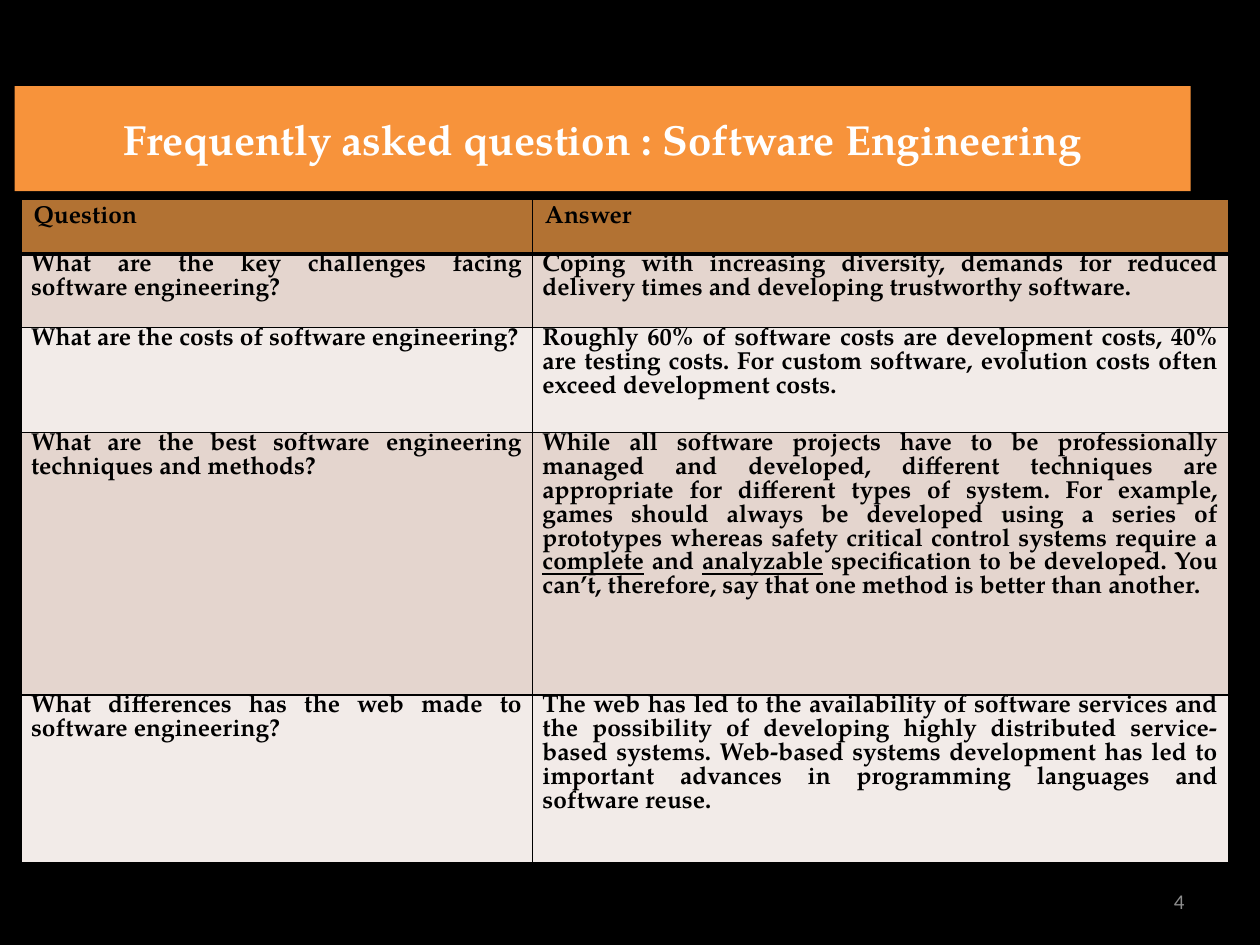
from lxml.etree import SubElement
from pptx import Presentation
from pptx.dml.color import RGBColor
from pptx.enum.shapes import MSO_SHAPE
from pptx.enum.text import MSO_ANCHOR, PP_ALIGN
from pptx.oxml.ns import qn
from pptx.util import Inches, Pt

BLACK = RGBColor(0x00, 0x00, 0x00)
WHITE = RGBColor(0xFF, 0xFF, 0xFF)
ORANGE = RGBColor(0xF7, 0x93, 0x3B)
BROWN = RGBColor(0xB2, 0x72, 0x33)
SAND = RGBColor(0xE4, 0xD5, 0xCE)
PALE = RGBColor(0xF2, 0xEB, 0xE8)
GREY = RGBColor(0x8C, 0x8C, 0x8C)
SERIF = "TeX Gyre Pagella"

GRID_COLUMNS, GRID_ROWS = 120, 90
QUESTION_COLUMNS, ANSWER_COLUMNS = 48.7, 66.3
ROW_SPANS = [5.2, 7, 10, 25, 16]

FAQ = [
    ("Question", ["Answer"]),
    ("What are the key challenges facing software engineering?",
     ["Coping with increasing diversity, demands for reduced delivery times "
      "and developing trustworthy software."]),
    ("What are the costs of software engineering?",
     ["Roughly 60% of software costs are development costs, 40% are testing costs. "
      "For custom software, evolution costs often exceed development costs."]),
    ("What are the best software engineering techniques and methods?",
     ["While all software projects have to be professionally managed and developed, "
      "different techniques are appropriate for different types of system. For example, "
      "games should always be developed using a series of prototypes whereas safety "
      "critical control systems require a ",
      "complete", " and ", "analyzable",
      " specification to be developed. You can’t, therefore, say that one method "
      "is better than another."]),
    ("What differences has the web made to software engineering?",
     ["The web has led to the availability of software services and the possibility of "
      "developing highly distributed service-based systems. Web-based systems development "
      "has led to important advances in programming languages and software reuse."]),
]


def style(paragraph, face, size, color, bold, align):
    paragraph.alignment = align
    paragraph.font.name = face
    paragraph.font.size = Pt(size)
    paragraph.font.color.rgb = color
    paragraph.font.bold = bold


def add_borders(cell, bottom_width):
    properties = cell._tc.get_or_add_tcPr()
    for position, (side, width) in enumerate(
            [("lnL", 1), ("lnR", 1), ("lnT", 1), ("lnB", bottom_width)]):
        line = SubElement(properties, qn(f"a:{side}"), w=str(Pt(width)))
        solid = SubElement(line, qn("a:solidFill"))
        SubElement(solid, qn("a:srgbClr"), val=str(BLACK))
        properties.insert(position, line)


deck = Presentation()
deck.slide_width, deck.slide_height = Inches(10), Inches(7.5)
column = deck.slide_width / GRID_COLUMNS
row = deck.slide_height / GRID_ROWS

slide = deck.slides.add_slide(deck.slide_layouts[6])
slide.background.fill.solid()
slide.background.fill.fore_color.rgb = BLACK

banner = slide.shapes.add_shape(
    MSO_SHAPE.RECTANGLE, int(1.4 * column), int(8.2 * row), int(112 * column), int(10 * row))
banner.shadow.inherit = False
banner.fill.solid()
banner.fill.fore_color.rgb = ORANGE
banner.line.fill.background()
banner.text_frame.word_wrap = True
banner.text_frame.vertical_anchor = MSO_ANCHOR.MIDDLE
heading = banner.text_frame.paragraphs[0]
heading.text = "Frequently asked question : Software Engineering"
style(heading, SERIF, 24, WHITE, True, PP_ALIGN.CENTER)

page_box = slide.shapes.add_textbox(
    int(86 * column), int(83.4 * row), int(28 * column), int(4.8 * row))
page_box.text_frame.word_wrap = True
page_box.text_frame.vertical_anchor = MSO_ANCHOR.MIDDLE
page_number = page_box.text_frame.paragraphs[0]
page_number.text = "4"
style(page_number, "Calibri", 12, GREY, False, PP_ALIGN.RIGHT)

faq_table = slide.shapes.add_table(
    len(FAQ), 2, int(2 * column), int(19 * row),
    int((QUESTION_COLUMNS + ANSWER_COLUMNS) * column), int(sum(ROW_SPANS) * row)).table
faq_table.columns[0].width = int(QUESTION_COLUMNS * column)
faq_table.columns[1].width = int(ANSWER_COLUMNS * column)

for index, (question, answer) in enumerate(FAQ):
    faq_table.rows[index].height = int(ROW_SPANS[index] * row)
    is_header = index == 0
    for cell, pieces in zip(faq_table.rows[index].cells, ([question], answer)):
        cell.fill.solid()
        cell.fill.fore_color.rgb = BROWN if is_header else SAND if index % 2 else PALE
        add_borders(cell, 3 if is_header else 1)
        if not is_header:
            cell.margin_left = cell.margin_right = Inches(0.08)
            cell.margin_top, cell.margin_bottom = 0, Inches(0.07)
        entry = cell.text_frame.paragraphs[0]
        style(entry, SERIF, 14, BLACK, True, PP_ALIGN.LEFT if is_header else PP_ALIGN.JUSTIFY)
        entry.line_spacing = Pt(13.7)
        for piece in pieces:
            run = entry.add_run()
            run.text = piece
            if piece in ("complete", "analyzable"):
                run.font.underline = True

deck.save("out.pptx")
